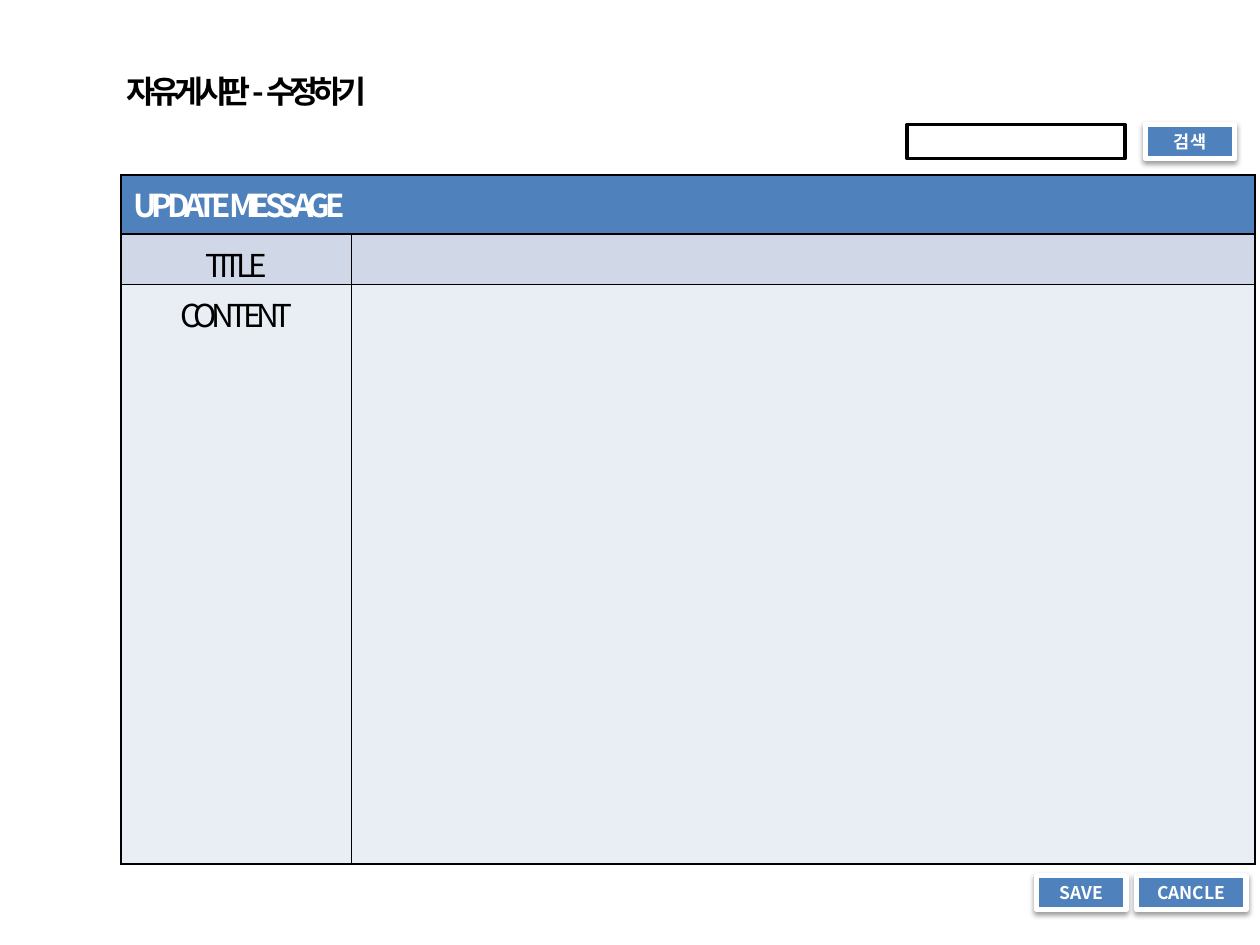
"""Build the edit form slide of a message board."""
from dataclasses import dataclass
from lxml.etree import SubElement
from pptx import Presentation
from pptx.dml.color import RGBColor as Rgb
from pptx.enum.shapes import MSO_SHAPE as Kind
from pptx.enum.text import PP_ALIGN as Align
from pptx.oxml import parse_xml as to_xml
from pptx.oxml.ns import qn
from pptx.util import Cm, Pt


@dataclass(frozen=True)
class Theme:
    face: str = "Noto Sans CJK KR"
    blue: str = "4F81BD"
    band: str = "D0D8E8"
    pale: str = "E9EDF4"
    white: str = "FFFFFF"
    black: str = "000000"
    large: int = 18
    small: int = 10
    tight: int = -300


look = Theme()
title = "자유게시판 - 수정하기"
rows = [
    ("UPDATE  MESSAGE", 1.19, look.blue, look.white, True, Align.LEFT),
    ("TITLE", 0.94, look.band, look.black, False, Align.CENTER),
    ("CONTENT", 11.68, look.pale, look.black, False, Align.CENTER),
]
cols = [4.65, 18.21]
buttons = [
    ("CANCLE", 22.91, 17.65, 2.21),
    ("SAVE", 20.9, 17.65, 1.8),
    ("검색", 23.09, 2.51, 1.8),
]
search = (18.29, 2.51, 4.39)
tall = 0.69
main = "http://schemas.openxmlformats.org/drawingml/2006/main"
shade = f"""<a:effectLst xmlns:a="{main}">
<a:outerShdw blurRad="39370" dist="20320" dir="5400000" rotWithShape="0">
<a:srgbClr val="{look.black}"><a:alpha val="38000"/></a:srgbClr>
</a:outerShdw></a:effectLst>"""


def style(para, size, color, bold, space=0):
    font = para.font
    font.size, font.bold, font.name = Pt(size), bold, look.face
    font.color.rgb = Rgb.from_string(color)
    props = para._p.pPr.find(qn("a:defRPr"))
    SubElement(props, qn("a:ea")).set("typeface", look.face)
    if space:
        props.set("spc", str(space))
        for run in para.runs:
            run._r.get_or_add_rPr().set("spc", str(space))


def paint(part, color):
    part.fill.solid()
    part.fill.fore_color.rgb = Rgb.from_string(color)


def border(cell):
    props = cell._tc.get_or_add_tcPr()
    for spot, side in enumerate(("lnL", "lnR", "lnT", "lnB")):
        props.insert(spot, to_xml(
            f'<a:{side} xmlns:a="{main}" w="12700"><a:solidFill>'
            f'<a:srgbClr val="{look.black}"/></a:solidFill></a:{side}>'))


def box(slide, left, top, wide, fill, edge, width):
    shape = slide.shapes.add_shape(
        Kind.RECTANGLE, Cm(left), Cm(top), Cm(wide), Cm(tall))
    shape.shadow.inherit = False
    paint(shape, fill)
    shape.line.color.rgb = Rgb.from_string(edge)
    shape.line.width = Pt(width)
    return shape


def button(slide, text, left, top, wide):
    shape = box(slide, left, top, wide, look.blue, look.white, 3)
    props = shape._element.spPr
    props.replace(props.find(qn("a:effectLst")), to_xml(shade))
    para = shape.text_frame.paragraphs[0]
    para.text, para.alignment = text, Align.CENTER
    style(para, look.small, look.white, True)


def form(slide):
    grid = slide.shapes.add_table(
        len(rows), len(cols), Cm(2.44), Cm(3.53), Cm(sum(cols)),
        Cm(sum(row[1] for row in rows))).table
    for col, wide in zip(grid.columns, cols):
        col.width = Cm(wide)
    for line, (text, high, fill, color, bold, align) in zip(grid.rows, rows):
        line.height = Cm(high)
        for cell, words in zip(line.cells, (text, "")):
            paint(cell, fill)
            border(cell)
            para = cell.text_frame.paragraphs[0]
            para.text, para.alignment = words, align
            style(para, look.large, color, bold, look.tight)
    grid.cell(0, 0).merge(grid.cell(0, 1))


deck = Presentation()
deck.slide_width, deck.slide_height = Cm(25.4), Cm(19.05)
page = deck.slides.add_slide(deck.slide_layouts[6])
head = page.shapes.add_textbox(Cm(2.31), Cm(1.32), Cm(5.72), Cm(1.02))
head.text_frame.word_wrap = False
para = head.text_frame.paragraphs[0]
para.text = title
style(para, look.large, look.black, True, look.tight)
form(page)
for item in buttons:
    button(page, *item)
box(page, *search, look.white, look.black, 2)
deck.save("out.pptx")
